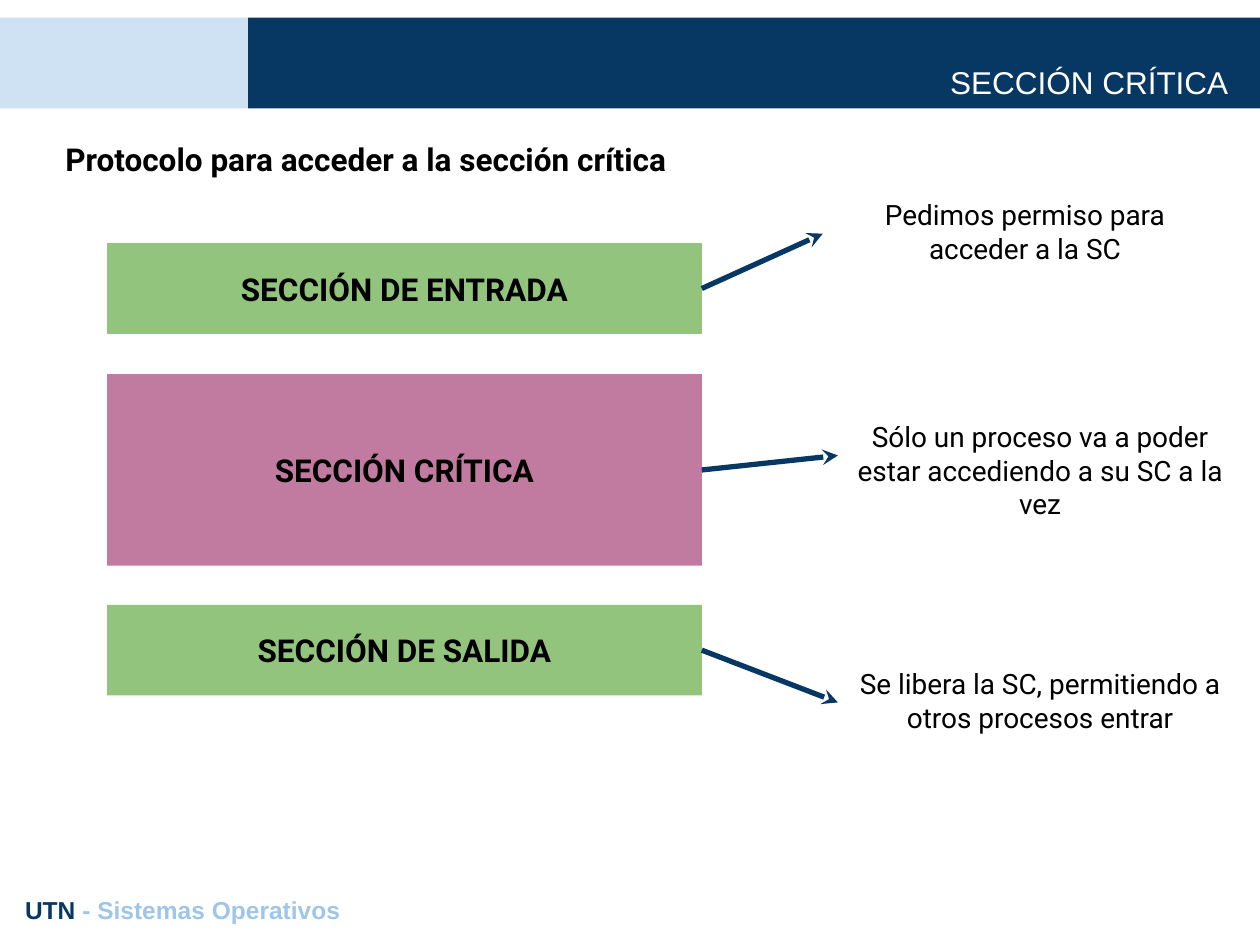
from dataclasses import dataclass

from lxml import etree
from pptx import Presentation
from pptx import util as u
from pptx.dml.color import RGBColor
from pptx.enum import shapes, text
from pptx.oxml import ns

NAVY = "073763"
PALE_BLUE = "CFE2F3"
SKY = "9FC5E8"
GREEN = "93C47D"
PINK = "C27BA0"
BLACK = "000000"
WHITE = "FFFFFF"

BAND_TOP, BAND_HEIGHT, BAND_SPLIT = 0.14, 0.72, 1.97
STAGE_LEFT, STAGE_WIDTH = 0.85, 4.72
NOTE_WIDTH, NOTE_HEIGHT = 3.21, 0.77


@dataclass
class Stage:
    label: str
    top: float
    height: float
    fill: str
    note: str
    note_left: float
    note_top: float


STAGES = [
    Stage("SECCIÓN DE ENTRADA", 1.93, 0.72, GREEN,
          "Pedimos permiso para acceder a la SC", 6.53, 1.47),
    Stage("SECCIÓN CRÍTICA", 2.97, 1.52, PINK,
          "Sólo un proceso va a poder estar accediendo a su SC a la vez", 6.65, 3.23),
    Stage("SECCIÓN DE SALIDA", 4.8, 0.72, GREEN,
          "Se libera la SC, permitiendo a otros procesos entrar", 6.65, 5.19),
]


def color(value: str) -> RGBColor:
    return RGBColor.from_string(value)


def write(sp, *runs: tuple[str, str], size: float = 18, font: str = "Roboto",
          bold: bool = False, align=text.PP_ALIGN.LEFT,
          anchor=text.MSO_ANCHOR.TOP) -> None:
    tf = sp.text_frame
    tf.word_wrap = True
    tf.auto_size = text.MSO_AUTO_SIZE.NONE
    tf.vertical_anchor = anchor
    tf.margin_left = tf.margin_right = u.Inches(0.1)
    tf.margin_top = tf.margin_bottom = u.Inches(0.1)
    p = tf.paragraphs[0]
    p.alignment = align
    for content, ink in runs:
        r = p.add_run()
        r.text = content
        r.font.name = font
        r.font.size = u.Pt(size)
        r.font.bold = bold
        r.font.color.rgb = color(ink)


def add_rect(s, left: float, top: float, width: float, height: float, fill: str):
    sp = s.shapes.add_shape(shapes.MSO_SHAPE.RECTANGLE, u.Inches(left), u.Inches(top),
                            u.Inches(width), u.Inches(height))
    sp.shadow.inherit = False
    sp.fill.solid()
    sp.fill.fore_color.rgb = color(fill)
    sp.line.fill.background()
    return sp


def add_text(s, left: float, top: float, width: float, height: float,
             *runs: tuple[str, str], **style) -> None:
    sp = s.shapes.add_textbox(u.Inches(left), u.Inches(top),
                              u.Inches(width), u.Inches(height))
    write(sp, *runs, **style)


def add_arrow(s, x1: float, y1: float, x2: float, y2: float) -> None:
    sp = s.shapes.add_connector(shapes.MSO_CONNECTOR.STRAIGHT, u.Inches(x1),
                                u.Inches(y1), u.Inches(x2), u.Inches(y2))
    sp.line.color.rgb = color(NAVY)
    sp.line.width = u.Pt(3)
    etree.SubElement(sp.line._get_or_add_ln(), ns.qn("a:tailEnd"), type="stealth")
    etree.SubElement(sp.element.spPr, ns.qn("a:effectLst"))


def add_header(s, title: str) -> None:
    add_rect(s, 0, BAND_TOP, BAND_SPLIT, BAND_HEIGHT, PALE_BLUE)
    add_rect(s, BAND_SPLIT, BAND_TOP, 10 - BAND_SPLIT, BAND_HEIGHT, NAVY)
    sp = s.shapes.title
    sp.left, sp.top = u.Inches(1.35), u.Inches(0.4)
    sp.width, sp.height = u.Inches(8.5), u.Inches(0.5)
    write(sp, (title, WHITE), font="Arial", align=text.PP_ALIGN.RIGHT,
          anchor=text.MSO_ANCHOR.BOTTOM)
    sp.element.getparent().append(sp.element)


def add_stage(s, stage: Stage) -> None:
    sp = add_rect(s, STAGE_LEFT, stage.top, STAGE_WIDTH, stage.height, stage.fill)
    write(sp, (stage.label, BLACK), bold=True, align=text.PP_ALIGN.CENTER,
          anchor=text.MSO_ANCHOR.MIDDLE)
    add_text(s, stage.note_left, stage.note_top, NOTE_WIDTH, NOTE_HEIGHT,
             (stage.note, BLACK), size=16, align=text.PP_ALIGN.CENTER)
    add_arrow(s, STAGE_LEFT + STAGE_WIDTH, stage.top + stage.height / 2,
              stage.note_left, stage.note_top + NOTE_HEIGHT / 2)


def main() -> None:
    prs = Presentation()
    prs.slide_width, prs.slide_height = u.Inches(10), u.Inches(7.5)
    s = prs.slides.add_slide(prs.slide_layouts.get_by_name("Title Only"))
    add_header(s, "SECCIÓN CRÍTICA")
    add_text(s, 0.42, 1.01, 5.57, 0.32,
             ("Protocolo para acceder a la sección crítica", BLACK), bold=True)
    for stage in STAGES:
        add_stage(s, stage)
    add_text(s, 0.1, 7, 9.81, 0.44, ("UTN ", NAVY), ("- Sistemas Operativos", SKY),
             size=14, font="Arial", bold=True)
    prs.save("out.pptx")


if __name__ == "__main__":
    main()
